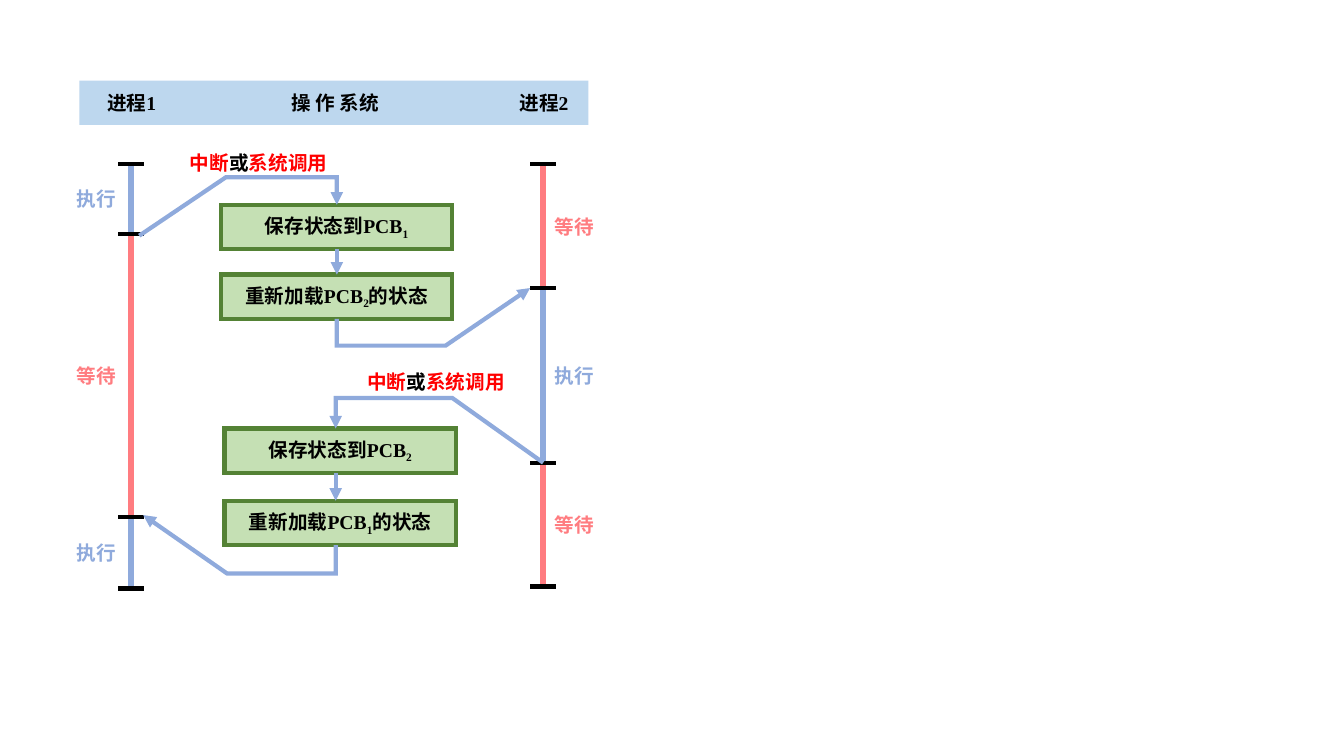
from lxml.etree import SubElement
from pptx import Presentation
from pptx.dml.color import RGBColor
from pptx.enum.shapes import MSO_CONNECTOR, MSO_SHAPE
from pptx.enum.text import MSO_ANCHOR, PP_ALIGN
from pptx.oxml.ns import qn
from pptx.util import Cm, Pt

BLUE, PINK, RED, BLACK = "8FAADC", "FF7C80", "FF0000", "000000"
ROW = 1.12
RUN, WAIT = ("执行", BLUE), ("等待", PINK)


def paint(target, color):
    """Give a fill or font a solid hex color."""
    fill = getattr(target, "fill", target)
    fill.solid()
    fill.fore_color.rgb = RGBColor.from_string(color)


def stroke(shape, color, width, arrow=False):
    """Style an outline, with an optional arrowhead at its end."""
    paint(shape.line, color)
    shape.line.width = Pt(width)
    line = shape.line.fill._xPr
    SubElement(line, qn("a:miter"), lim="800000")
    if arrow:
        SubElement(line, qn("a:tailEnd"), type="triangle")


def write(shape, runs):
    """Fill a shape with centred bold runs of (text, color, lowered)."""
    frame = shape.text_frame
    frame.word_wrap = True
    frame.vertical_anchor = MSO_ANCHOR.MIDDLE
    para = frame.paragraphs[0]
    para.alignment = PP_ALIGN.CENTER
    for text, color, low in runs:
        run = para.add_run()
        run.text = text
        run.font.name = "Times New Roman"
        run.font.size = Pt(14)
        run.font.bold = True
        paint(run.font, color)
        if low:
            run.font._element.set("baseline", "-25000")


def label(slide, x, y, width, *runs):
    """Place a text box centred on a point."""
    box = slide.shapes.add_textbox(
        Cm(x - width / 2), Cm(y - ROW / 2), Cm(width), Cm(ROW))
    write(box, [(text, color, False) for text, color in runs])


def block(slide, x, y, width, color):
    """Place a plain rectangle."""
    shape = slide.shapes.add_shape(
        MSO_SHAPE.RECTANGLE, Cm(x), Cm(y), Cm(width), Cm(ROW))
    shape.shadow.inherit = False
    paint(shape, color)
    shape.line.fill.background()
    return shape


def link(slide, start, end, color, width, arrow=False):
    """Draw a straight line between two points."""
    line = slide.shapes.add_connector(
        MSO_CONNECTOR.STRAIGHT, *map(Cm, start + end))
    SubElement(line._element.spPr, qn("a:effectLst"))
    stroke(line, color, width, arrow)


def route(slide, left, top, points):
    """Draw a bent arrow through points relative to a corner."""
    spots = [(Cm(left + x), Cm(top + y)) for x, y in points]
    maker = slide.shapes.build_freeform(*spots[0])
    maker.add_line_segments(spots[1:], close=False)
    shape = maker.convert_to_shape()
    shape.shadow.inherit = False
    shape.fill.background()
    stroke(shape, BLUE, 3, True)


def header(slide, left, top, width):
    """Draw the band that names the three columns."""
    block(slide, left, top, width, "BDD7EE")
    for text, x, size in (("进程1", 1.32, 2.49), ("操 作 系统", 6.45, 3.43),
                          ("进程2", 11.71, 2.49)):
        label(slide, left + x, top + ROW / 2, size, (text, BLACK))


def track(slide, x, top, stops, states, shift):
    """Draw one process timeline with its ticks and state names."""
    for start, end, (text, color) in zip(stops, stops[1:], states):
        link(slide, (x, top + start), (x, top + end), color, 4)
        label(slide, x + shift, top + (start + end) / 2, 2.49, (text, color))
    for stop in stops:
        link(slide, (x - 0.32, top + stop), (x + 0.32, top + stop), BLACK, 3)


def switch(slide, left, top, gap, axis, old, new, note, enter, leave):
    """Draw one context switch from process old to process new."""
    steps = (0, [("保存状态到PCB", False), (old, True)]), (
        gap, [("重新加载PCB", False), (new, True), ("的状态", False)])
    for drop, parts in steps:
        step = block(slide, left, top + drop, 5.83, "C5E0B4")
        stroke(step, "548235", 3)
        write(step, [(text, BLACK, low) for text, low in parts])
    link(slide, (left + axis, top + ROW), (left + axis, top + gap),
         BLUE, 3, True)
    route(slide, left, top, enter + [(axis, enter[-1][1]), (axis, 0)])
    foot = gap + ROW
    route(slide, left, top, [(axis, foot), (axis, leave[0][1])] + leave)
    label(slide, left + note[0], top + note[1], 4.75,
          ("中断", RED), ("或", BLACK), ("系统调用", RED))


def main():
    """Build and save the slide."""
    deck = Presentation()
    deck.slide_width, deck.slide_height = Cm(33.87), Cm(19.05)
    slide = deck.slides.add_slide(deck.slide_layouts[6])
    header(slide, 2, 2.03, 12.83)
    track(slide, 3.3, 4.14, (0, 1.75, 8.89, 10.69), (RUN, WAIT, RUN), -0.87)
    track(slide, 13.68, 4.14, (0, 3.12, 7.52, 10.64), (WAIT, RUN, WAIT), 0.79)
    switch(slide, 5.57, 5.16, 1.76, 2.92, "1", "2", (0.95, -1.05),
           [(-2.06, 0.78), (0.12, -0.69)], [(5.66, 3.55), (7.79, 2.1)])
    switch(slide, 5.66, 10.8, 1.82, 2.8, "2", "1", (5.33, -1.17),
           [(8.03, 0.86), (5.74, -0.77)], [(0.06, 3.65), (-2.05, 2.18)])
    deck.save("out.pptx")


main()
